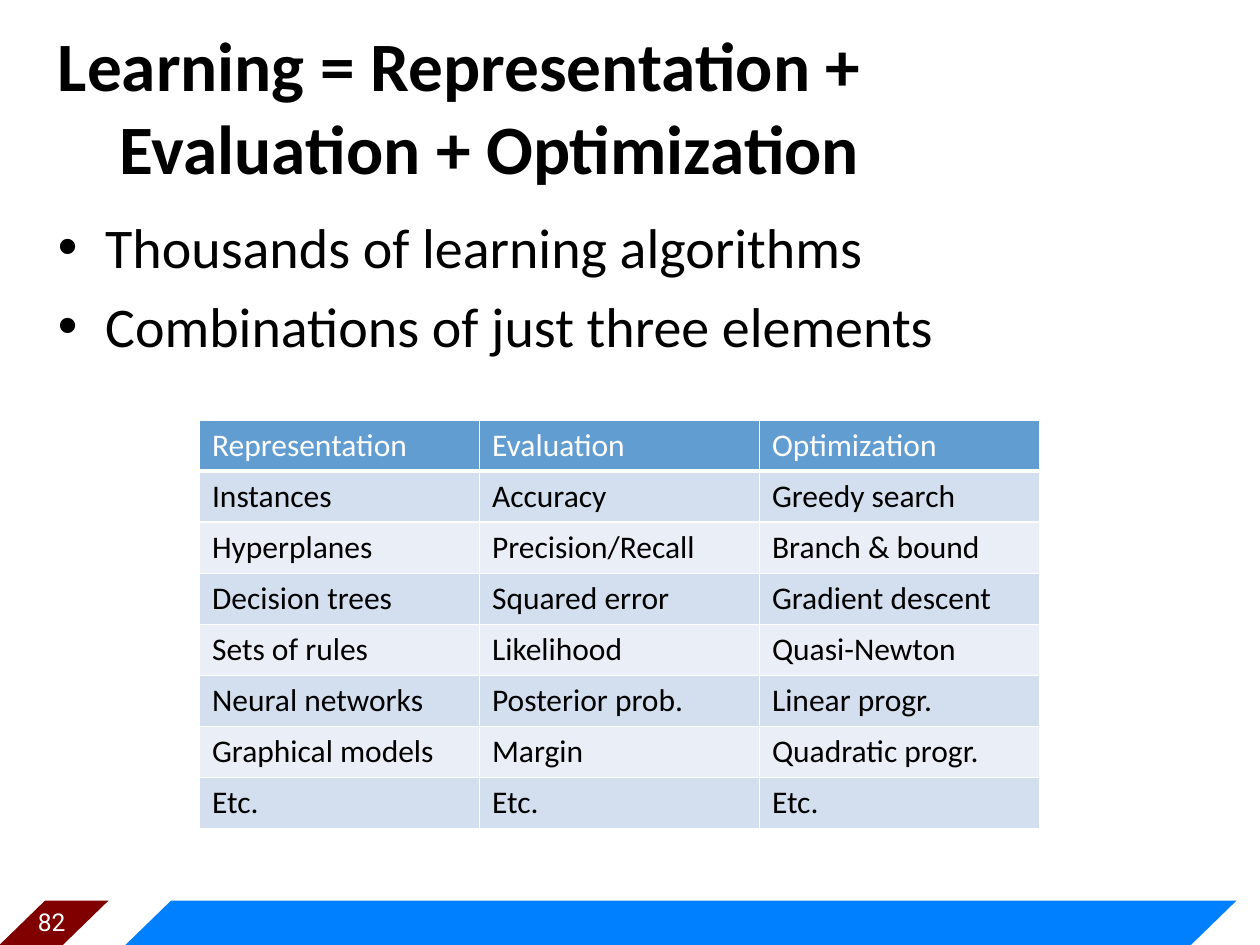
from lxml.etree import SubElement
from pptx import Presentation
from pptx.dml.color import RGBColor
from pptx.enum.shapes import MSO_SHAPE as Shape
from pptx.enum.text import MSO_ANCHOR as Anchor, PP_ALIGN as Align
from pptx.oxml.ns import qn
from pptx.util import Pt

BLACK = RGBColor(0x00, 0x00, 0x00)
WHITE = RGBColor(0xFF, 0xFF, 0xFF)
BLUE = RGBColor(0x00, 0x80, 0xFF)
MAROON = RGBColor(0x80, 0x00, 0x00)
HEADER = RGBColor(0x62, 0x9D, 0xD1)
BANDS = [RGBColor(0xEA, 0xEF, 0xF7), RGBColor(0xD3, 0xDF, 0xEE)]

TITLE = ["Learning = Representation +", "Evaluation + Optimization"]
BULLETS = ["Thousands of learning algorithms", "Combinations of just three elements"]
ROWS = [
    ["Representation", "Evaluation", "Optimization"],
    ["Instances", "Accuracy", "Greedy search"],
    ["Hyperplanes", "Precision/Recall", "Branch & bound"],
    ["Decision trees", "Squared error", "Gradient descent"],
    ["Sets of rules", "Likelihood", "Quasi-Newton"],
    ["Neural networks", "Posterior prob.", "Linear progr."],
    ["Graphical models", "Margin", "Quadratic progr."],
    ["Etc.", "Etc.", "Etc."],
]


def add_span(para, text, size, color=BLACK, font="Calibri", bold=False):
    """Append one formatted run to a paragraph."""
    span = para.add_run()
    span.text = text
    span.font.name = font
    span.font.size = Pt(size)
    span.font.bold = bold
    span.font.color.rgb = color


def add_text_frame(page, left, top, width, height, anchor=Anchor.TOP):
    """Add a wrapping text box and return its frame."""
    box = page.shapes.add_textbox(Pt(left), Pt(top), Pt(width), Pt(height))
    frame = box.text_frame
    frame.word_wrap = True
    frame.vertical_anchor = anchor
    return frame


def set_hanging(para, indent):
    """Indent every line of a paragraph but the first."""
    props = para._p.get_or_add_pPr()
    props.set("marL", str(Pt(indent)))
    props.set("indent", str(-Pt(indent)))
    return props


def add_footer(page, left, top, width, height):
    """Draw the slanted footer bars and the slide number."""
    bars = [(72, width - 72, BLUE), (0, 63.4, MAROON)]
    for offset, length, color in bars:
        bar = page.shapes.add_shape(
            Shape.PARALLELOGRAM, Pt(left + offset), Pt(top), Pt(length), Pt(height))
        bar.adjustments[0] = 1.03
        bar.shadow.inherit = False
        bar.fill.solid()
        bar.fill.fore_color.rgb = color
        bar.line.fill.background()
    frame = add_text_frame(page, left + 10, top, 42, 24.5, Anchor.MIDDLE)
    para = frame.paragraphs[0]
    para.alignment = Align.CENTER
    add_span(para, "82", 14, WHITE, "Roboto")


def add_title(page, left, top, width, height):
    """Place the two-line title with its second line indented."""
    para = add_text_frame(page, left, top, width, height, Anchor.MIDDLE).paragraphs[0]
    set_hanging(para, 35.5)
    for index, line in enumerate(TITLE):
        if index:
            para.add_line_break()
        add_span(para, line, 39.6, bold=True)


def add_bullets(page, left, top, width, height):
    """Place the bulleted list."""
    frame = add_text_frame(page, left, top, width, height)
    for index, text in enumerate(BULLETS):
        para = frame.add_paragraph() if index else frame.paragraphs[0]
        props = set_hanging(para, 27)
        if index:
            para.space_before = Pt(6.4)
        SubElement(props, qn("a:buFont"), typeface="Arial")
        SubElement(props, qn("a:buChar"), char="•")
        add_span(para, text, 32)


def set_borders(cell, bottom):
    """Give a cell white borders with the given bottom width."""
    props = cell._tc.get_or_add_tcPr()
    for index, (side, weight) in enumerate(
            [("lnL", 1), ("lnR", 1), ("lnT", 1), ("lnB", bottom)]):
        line = SubElement(props, qn(f"a:{side}"), w=str(Pt(weight)))
        fill = SubElement(line, qn("a:solidFill"))
        SubElement(fill, qn("a:srgbClr"), val=str(WHITE))
        props.insert(index, line)


def add_elements_table(page, left, top, width, height):
    """Build the banded table of the three learning elements."""
    table = page.shapes.add_table(
        len(ROWS), len(ROWS[0]), Pt(left), Pt(top), Pt(width), Pt(height)).table
    for column in table.columns:
        column.width = Pt(width / len(ROWS[0]))
    for r, texts in enumerate(ROWS):
        table.rows[r].height = Pt(height / len(ROWS))
        for c, text in enumerate(texts):
            cell = table.cell(r, c)
            cell.fill.solid()
            cell.fill.fore_color.rgb = BANDS[r % 2] if r else HEADER
            set_borders(cell, 1 if r else 3)
            add_span(cell.text_frame.paragraphs[0], text, 18, BLACK if r else WHITE)


def main():
    """Build and save the slide."""
    deck = Presentation()
    deck.slide_width, deck.slide_height = Pt(720), Pt(540)
    page = deck.slides.add_slide(deck.slide_layouts[6])
    add_footer(page, -1.4, 514.6, 708, 26.4)
    add_title(page, 26, 32.4, 674.6, 55.4)
    add_bullets(page, 26, 118, 672, 371)
    add_elements_table(page, 114, 240, 480, 233.6)
    deck.save("out.pptx")


if __name__ == "__main__":
    main()
